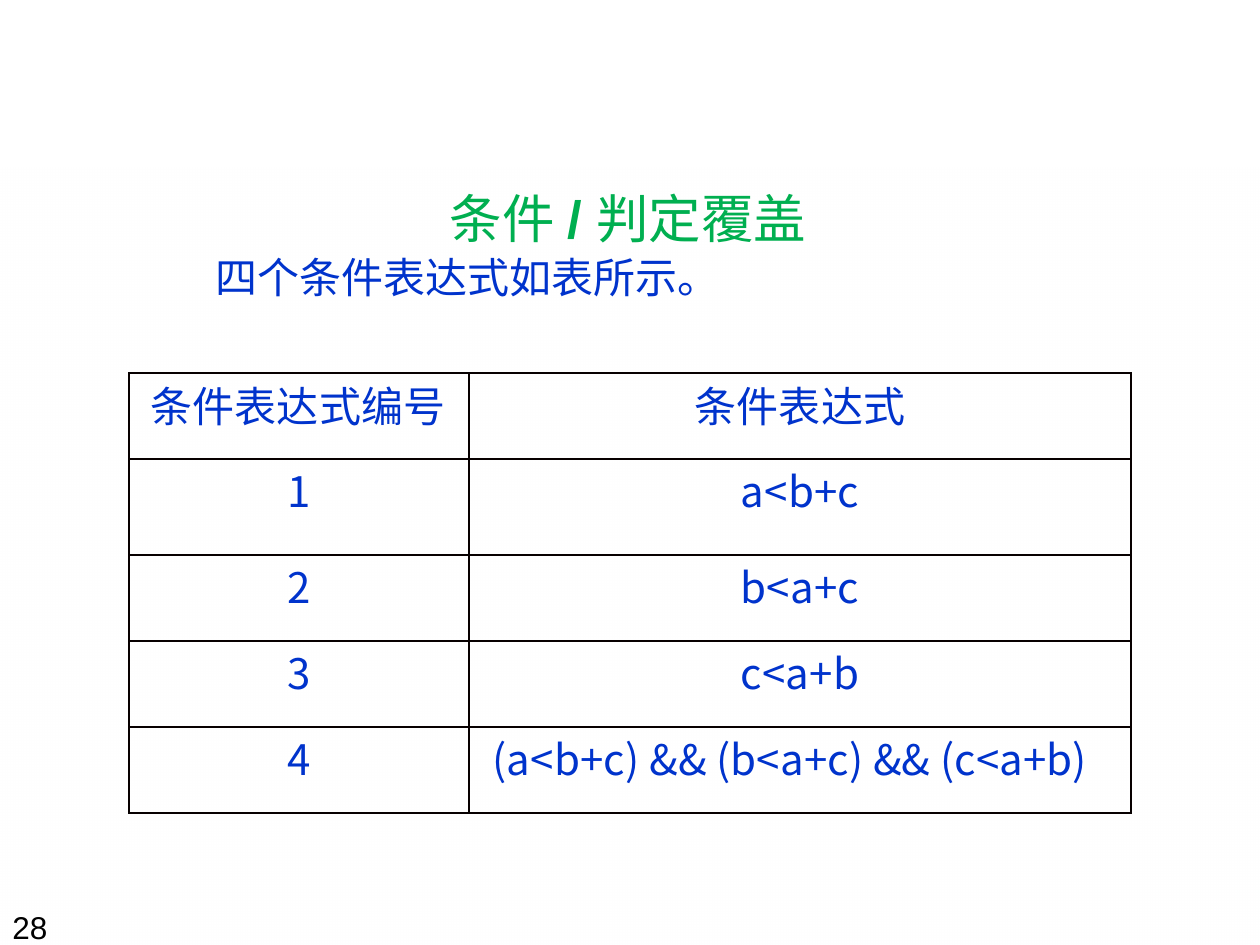
from dataclasses import dataclass

import pptx
import pptx.dml.color
import pptx.enum.shapes
import pptx.enum.text
import pptx.oxml.ns
import pptx.util
from lxml import etree

GREEN = pptx.dml.color.RGBColor(0x00, 0xAF, 0x50)
BLUE = pptx.dml.color.RGBColor(0x00, 0x33, 0xCC)
BLACK = pptx.dml.color.RGBColor(0x00, 0x00, 0x00)
WHITE = pptx.dml.color.RGBColor(0xFF, 0xFF, 0xFF)
BORDER = pptx.dml.color.RGBColor(0x07, 0x00, 0x00)
CHINESE_FONT = "Noto Sans CJK SC"
LATIN_FONT = "Arial"
SLIDE_WIDTH = pptx.util.Inches(10)
SLIDE_HEIGHT = pptx.util.Inches(7.5)
LEFT = pptx.enum.text.PP_ALIGN.LEFT
CENTER = pptx.enum.text.PP_ALIGN.CENTER


@dataclass(frozen=True)
class Box:
    """A place on the slide, in percent of its width and height."""
    left: float
    top: float
    width: float
    height: float

    def lengths(self) -> tuple[int, int, int, int]:
        return (across(self.left), down(self.top),
                across(self.width), down(self.height))


@dataclass(frozen=True)
class Run:
    text: str
    size: float = 24
    color: pptx.dml.color.RGBColor = BLUE
    font: str = CHINESE_FONT
    bold: bool = False
    spacing: float = 0.1


@dataclass(frozen=True)
class Entry:
    """A table cell: centred, or set in from the left by a share of the slide."""
    text: str
    indent: float = 0


PANEL_BOX = Box(0, 17.73, 100, 82.27)
PANEL_OPACITIES = (87, 62)
TITLE_BOX = Box(11.7, 18.6, 76.5, 13.2)
NUMBER_BOX = Box(0, 95.47, 100, 3.87)
TABLE_BOX = Box(10.24, 39.5, 79.5, 46.4)
COLUMN_WIDTHS = (27, 52.5)
ROW_HEIGHTS = (9.1, 10.13, 9.1, 9.1, 9.1)
TITLE_RUNS = (
    Run("条件 ", 30, GREEN),
    Run("/ ", 30, GREEN, LATIN_FONT, True, -0.1),
    Run("判定覆盖", 30, GREEN),
)
TABLE_ENTRIES = (
    (Entry("条件表达式编号", 1.7), Entry("条件表达式")),
    (Entry("1"), Entry("a<b+c")),
    (Entry("2"), Entry("b<a+c")),
    (Entry("3"), Entry("c<a+b")),
    (Entry("4"), Entry("(a<b+c) && (b<a+c) && (c<a+b)", 1.85)),
)


def across(percent: float) -> int:
    return round(SLIDE_WIDTH * percent / 100)


def down(percent: float) -> int:
    return round(SLIDE_HEIGHT * percent / 100)


def set_values(target, values: dict) -> None:
    for name, value in values.items():
        setattr(target, name, value)


def write(paragraph, runs: tuple[Run, ...], indent: float = 0, **values) -> None:
    """Fill a paragraph with runs and format it."""
    set_values(paragraph, {"alignment": LEFT} | values)
    paragraph._p.get_or_add_pPr().set("marL", str(across(indent)))
    for item in runs:
        run = paragraph.add_run()
        run.text = item.text
        set_values(run.font, {"size": pptx.util.Pt(item.size),
                              "name": item.font, "bold": item.bold})
        run.font.color.rgb = item.color
        properties = run._r.get_or_add_rPr()
        properties.set("spc", str(round(item.spacing * 100)))
        east_asian = etree.SubElement(properties, pptx.oxml.ns.qn("a:ea"))
        east_asian.set("typeface", item.font)


def draw_borders(cell) -> None:
    properties = cell._tc.get_or_add_tcPr()
    for position, side in enumerate(("a:lnL", "a:lnR", "a:lnT", "a:lnB")):
        line = etree.Element(pptx.oxml.ns.qn(side), w=str(pptx.util.Pt(1.1)))
        fill = etree.SubElement(line, pptx.oxml.ns.qn("a:solidFill"))
        etree.SubElement(fill, pptx.oxml.ns.qn("a:srgbClr"), val=str(BORDER))
        properties.insert(position, line)


def draw_panel(slide) -> None:
    """Draw the translucent white panel behind the content."""
    panel = slide.shapes.add_shape(pptx.enum.shapes.MSO_SHAPE.RECTANGLE,
                                   *PANEL_BOX.lengths())
    panel.rotation = 180
    panel.shadow.inherit = False
    panel.line.fill.background()
    panel.fill.gradient()
    panel.fill.gradient_angle = 90
    for stop, opacity in zip(panel.fill.gradient_stops, PANEL_OPACITIES):
        stop.color.rgb = WHITE
    colors = panel._element.spPr.iter(pptx.oxml.ns.qn("a:srgbClr"))
    for color, opacity in zip(list(colors), PANEL_OPACITIES):
        etree.SubElement(color, pptx.oxml.ns.qn("a:alpha"), val=str(opacity * 1000))
    # Behind the title placeholder
    slide.shapes._spTree.insert(2, panel._element)


def draw_title(slide) -> None:
    title = slide.shapes.title
    set_values(title, dict(zip(("left", "top", "width", "height"),
                               TITLE_BOX.lengths())))
    frame = title.text_frame
    set_values(frame, {
        "auto_size": pptx.enum.text.MSO_AUTO_SIZE.NONE,
        "vertical_anchor": pptx.enum.text.MSO_ANCHOR.MIDDLE,
        "word_wrap": True,
        "margin_left": 0, "margin_right": 0, "margin_bottom": 0,
        "margin_top": pptx.util.Inches(0.09),
    })
    write(frame.paragraphs[0], TITLE_RUNS, 24)
    write(frame.add_paragraph(), (Run("四个条件表达式如表所示。", spacing=0),), 5.4,
          line_spacing=pptx.util.Pt(28.4), space_before=pptx.util.Pt(1.8))


def draw_table(slide) -> None:
    table = slide.shapes.add_table(len(ROW_HEIGHTS), len(COLUMN_WIDTHS),
                                   *TABLE_BOX.lengths()).table
    set_values(table, {"first_row": False, "horz_banding": False})
    for column, width in zip(table.columns, COLUMN_WIDTHS):
        column.width = across(width)
    for row, height, entries in zip(table.rows, ROW_HEIGHTS, TABLE_ENTRIES):
        row.height = down(height)
        for cell, entry in zip(row.cells, entries):
            set_values(cell, {"margin_left": 0, "margin_right": 0,
                              "margin_top": 0, "margin_bottom": 0})
            cell.fill.background()
            draw_borders(cell)
            write(cell.text_frame.paragraphs[0], (Run(entry.text),), entry.indent,
                  alignment=LEFT if entry.indent else CENTER)


def draw_slide_number(slide) -> None:
    frame = slide.shapes.add_textbox(*NUMBER_BOX.lengths()).text_frame
    frame.word_wrap = True
    write(frame.paragraphs[0], (Run("28", 18, BLACK, LATIN_FONT, spacing=0),))


def main() -> None:
    presentation = pptx.Presentation()
    set_values(presentation, {"slide_width": SLIDE_WIDTH,
                              "slide_height": SLIDE_HEIGHT})
    # The sixth layout has a title only
    slide = presentation.slides.add_slide(presentation.slide_layouts[5])
    draw_panel(slide)
    draw_slide_number(slide)
    draw_title(slide)
    draw_table(slide)
    presentation.save("out.pptx")


if __name__ == "__main__":
    main()
